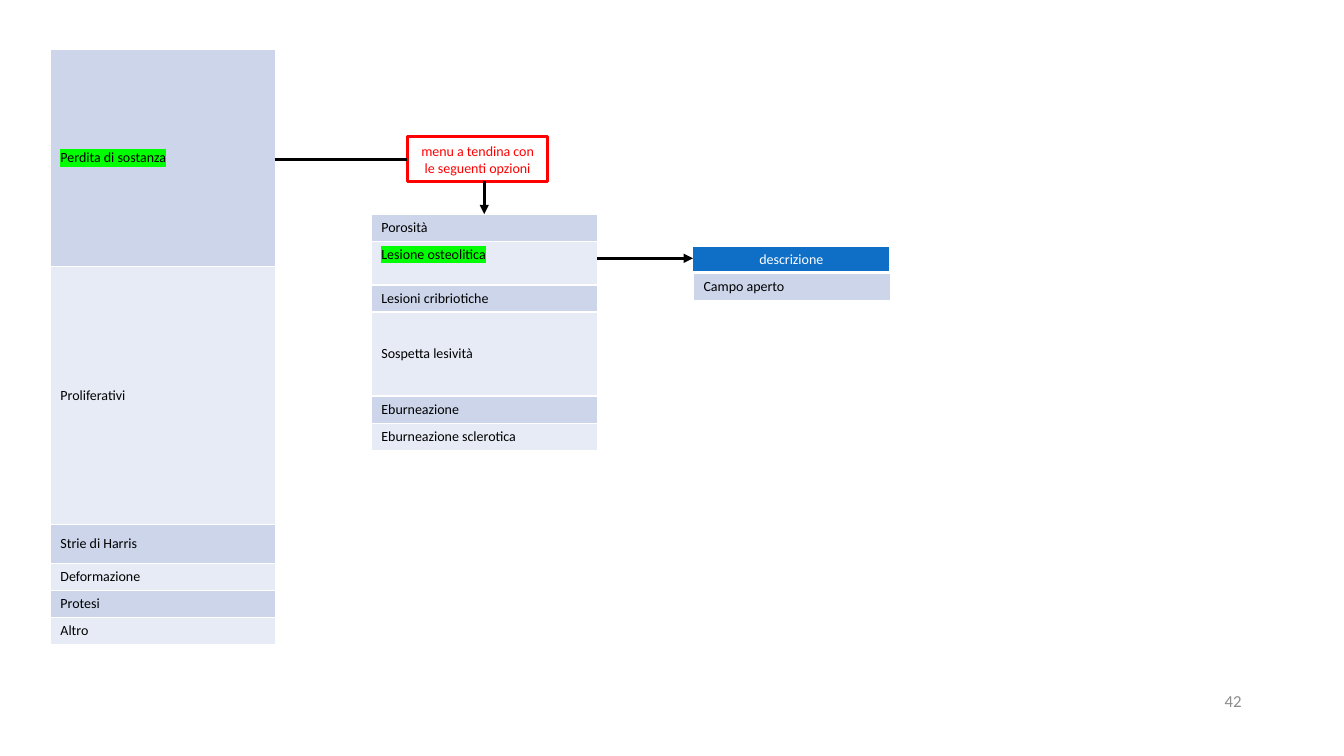
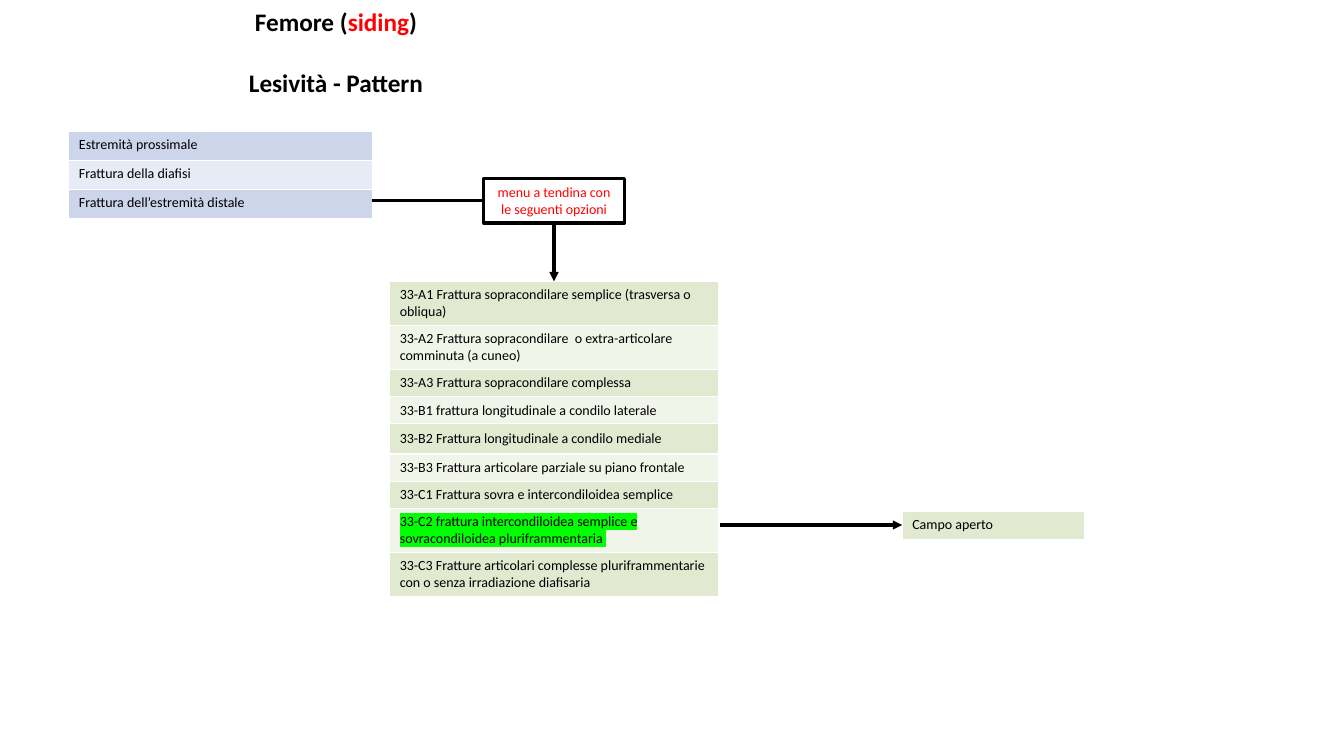
from lxml import etree
from pptx import Presentation
from pptx.dml.color import RGBColor
from pptx.enum.shapes import MSO_CONNECTOR, MSO_SHAPE
from pptx.enum.text import MSO_ANCHOR, MSO_AUTO_SIZE, PP_ALIGN
from pptx.oxml.ns import qn
from pptx.util import Inches, Pt

# Shared style
COLORS = {
    "black": "000000", "white": "FFFFFF", "red": "FF0000", "grey": "8C8C8C",
    "mark": "00FF00", "blue": "0F6FC6", "blue_band": "CCD5EA",
    "blue_pale": "E7EBF5", "green_band": "E1E9D0", "green_pale": "F0F4E9",
}
BLUES = ("blue_band", "blue_pale")
GREENS = ("green_band", "green_pale")
FONT = "Calibri"
BODY_SIZE = 10

# Grid of 160 columns by 90 rows of square modules
WIDTH, HEIGHT = Inches(13.333), Inches(7.5)
MODULE = HEIGHT / 90
ONE_LINE, TWO_LINES = 3.23, 5.2
MENU_W, MENU_H = 16.7, 5.3


def grid(*modules):
    return [round(m * MODULE) for m in modules]


def rgb(name):
    return RGBColor.from_string(COLORS[name])


def style_run(r, color="black", size=BODY_SIZE, bold=False):
    r.font.name = FONT
    r.font.size = Pt(size)
    r.font.bold = bold
    r.font.color.rgb = rgb(color)


def highlight(r):
    fill = r.font._element.find(qn("a:solidFill"))
    mark = etree.Element(qn("a:highlight"))
    etree.SubElement(mark, qn("a:srgbClr"), val=COLORS["mark"])
    fill.addnext(mark)


def cell_borders(cell, bottom):
    tc_pr = cell._tc.get_or_add_tcPr()
    for side, width in (("lnL", 1), ("lnR", 1), ("lnT", 1), ("lnB", bottom)):
        ln = etree.SubElement(tc_pr, qn(f"a:{side}"), w=str(Pt(width)))
        fill = etree.SubElement(ln, qn("a:solidFill"))
        etree.SubElement(fill, qn("a:srgbClr"), val=COLORS["white"])


def add_list(slide, x, y, w, rows, bands=BLUES, color="black", marked=None,
             anchor=MSO_ANCHOR.MIDDLE, align=PP_ALIGN.LEFT, bottom=1):
    """One-column table from (text, height) rows; a marked row is highlighted."""
    height = sum(h for _, h in rows)
    frame = slide.shapes.add_table(len(rows), 1, *grid(x, y, w, height))
    table = frame.table
    table.first_row = table.horz_banding = False
    for i, (text, h) in enumerate(rows):
        table.rows[i].height = grid(h)[0]
        cell = table.cell(i, 0)
        cell_borders(cell, bottom)
        cell.fill.solid()
        cell.fill.fore_color.rgb = rgb(bands[i % len(bands)])
        cell.vertical_anchor = anchor
        cell.text = text
        p = cell.text_frame.paragraphs[0]
        p.alignment = align
        style_run(p.runs[0], color)
        if i == marked:
            highlight(p.runs[0])
    return table


def add_line(slide, x1, y1, x2, y2, arrow=True):
    line = slide.shapes.add_connector(MSO_CONNECTOR.STRAIGHT, *grid(x1, y1, x2, y2))
    line.line.color.rgb = rgb("black")
    line.line.width = Pt(2.25)
    if arrow:
        etree.SubElement(line.line._get_or_add_ln(), qn("a:tailEnd"), type="triangle")
    etree.SubElement(line._element.spPr, qn("a:effectLst"))
    return line


def add_menu(slide, x, y, border, source_right, list_center, list_top):
    """Menu box, its line from the source table and its arrow to the options."""
    middle, bottom = y + MENU_H / 2, y + MENU_H
    sp = slide.shapes.add_shape(MSO_SHAPE.RECTANGLE, *grid(x, y, MENU_W, MENU_H))
    sp.shadow.inherit = False
    sp.fill.solid()
    sp.fill.fore_color.rgb = rgb("white")
    sp.line.color.rgb = rgb(border)
    sp.line.width = Pt(2.25)
    tf = sp.text_frame
    tf.word_wrap = True
    tf.text = "menu a tendina con le seguenti opzioni"
    tf.paragraphs[0].alignment = PP_ALIGN.CENTER
    style_run(tf.paragraphs[0].runs[0], "red")

    add_line(slide, source_right, middle, x, middle, arrow=False).end_connect(sp, 1)
    drop = add_line(slide, list_center, bottom, list_center, list_top)
    if list_center == x + MENU_W / 2:
        drop.begin_connect(sp, 2)


def add_title(slide, lines):
    """Title lines, each a list of (text, colour) runs."""
    title = slide.shapes.title
    title.left, title.top, title.width, title.height = grid(0, 0.1, 80, 12.1)
    tf = title.text_frame
    tf.word_wrap = True
    tf.auto_size = MSO_AUTO_SIZE.NONE
    tf.vertical_anchor = MSO_ANCHOR.TOP
    for i, runs in enumerate(lines):
        p = tf.add_paragraph() if i else tf.paragraphs[0]
        p.alignment = PP_ALIGN.CENTER
        p.space_before = Pt(22 if i else 0)
        for text, color in runs:
            r = p.add_run()
            r.text = text
            style_run(r, color, 18, bold=True)


def add_page_number(slide, number):
    tf = slide.shapes.add_textbox(*grid(113, 81, 36, 4.8)).text_frame
    tf.word_wrap = True
    tf.vertical_anchor = MSO_ANCHOR.MIDDLE
    tf.text = number
    tf.paragraphs[0].alignment = PP_ALIGN.RIGHT
    style_run(tf.paragraphs[0].runs[0], "grey", 12)


def build_substance_loss(prs):
    slide = prs.slides.add_slide(prs.slide_layouts[6])
    add_page_number(slide, "42")

    # Categories and the menu opened by the first one
    add_list(slide, 6, 5.9, 26.75, [
        ("Perdita di sostanza", 25.8),
        ("Proliferativi", 30.75),
        ("Strie di Harris", 4.6),
        ("Deformazione", ONE_LINE),
        ("Protesi", ONE_LINE),
        ("Altro", ONE_LINE),
    ], marked=0)
    options = add_list(slide, 44.2, 25.5, 26.9, [
        ("Porosità", ONE_LINE),
        ("Lesione osteolitica", TWO_LINES),
        ("Lesioni cribriotiche", ONE_LINE),
        ("Sospetta lesività", 10),
        ("Eburneazione", ONE_LINE),
        ("Eburneazione sclerotica", ONE_LINE),
    ], marked=1)
    options.cell(1, 0).vertical_anchor = MSO_ANCHOR.TOP
    add_menu(slide, 48.5, 16.3, "red", 32.75, 57.65, 25.5)

    # Description field
    add_list(slide, 82.45, 29.3, 23.5, [("descrizione", ONE_LINE)], ("blue",),
             "white", align=PP_ALIGN.CENTER, bottom=3)
    add_list(slide, 82.55, 32.55, 23.5, [("Campo aperto", ONE_LINE)],
             anchor=MSO_ANCHOR.TOP)
    add_line(slide, 71.1, 30.75, 82.5, 30.75)


def build_femur(prs):
    slide = prs.slides.add_slide(prs.slide_layouts[5])
    add_title(slide, [
        [("Femore (", "black"), ("siding", "red"), (")", "black")],
        [("Lesività - Pattern", "black")],
    ])

    # Fracture sites and the menu opened by the last one
    sites = ["Estremità prossimale", "Frattura della diafisi",
             "Frattura dell’estremità distale"]
    add_list(slide, 8.2, 15.65, 36.1, [(site, 3.45) for site in sites],
             anchor=MSO_ANCHOR.TOP)
    add_list(slide, 46.4, 33.5, 39.15, [
        ("33-A1 Frattura sopracondilare semplice (trasversa o obliqua)", TWO_LINES),
        ("33-A2 Frattura sopracondilare  o extra-articolare comminuta (a cuneo)",
         TWO_LINES),
        ("33-A3 Frattura sopracondilare complessa", ONE_LINE),
        ("33-B1 frattura longitudinale a condilo laterale", ONE_LINE),
        ("33-B2 Frattura longitudinale a condilo mediale", 3.6),
        ("33-B3 Frattura articolare parziale su piano frontale", ONE_LINE),
        ("33-C1 Frattura sovra e intercondiloidea semplice", ONE_LINE),
        ("33-C2 frattura intercondiloidea semplice e sovracondiloidea "
         "pluriframmentaria ", TWO_LINES),
        ("33-C3 Fratture articolari complesse pluriframmentarie con o senza "
         "irradiazione diafisaria", TWO_LINES),
    ], GREENS, marked=7)
    menu_x = 57.6
    add_menu(slide, menu_x, 21.25, "black", 44.3, menu_x + MENU_W / 2, 33.5)

    # Open field
    add_list(slide, 107.4, 60.85, 21.75, [("Campo aperto", 3.35)], GREENS,
             anchor=MSO_ANCHOR.TOP)
    add_line(slide, 85.7, 62.5, 107.4, 62.5)


def main():
    prs = Presentation()
    prs.slide_width, prs.slide_height = WIDTH, HEIGHT
    build_substance_loss(prs)
    build_femur(prs)
    prs.save("out.pptx")


if __name__ == "__main__":
    main()
